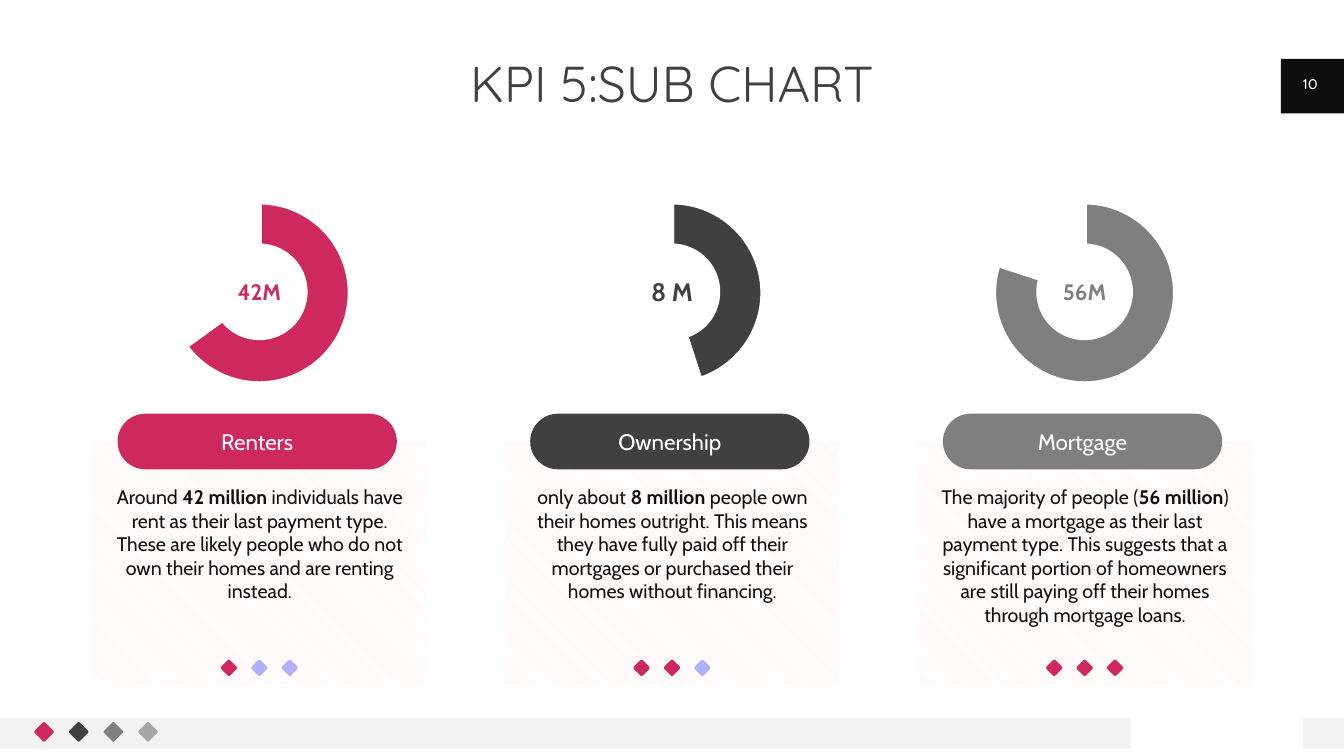
from lxml import etree
from pptx import Presentation
from pptx.chart.data import CategoryChartData
from pptx.dml.color import RGBColor
from pptx.enum.chart import XL_CHART_TYPE as ChartType
from pptx.enum.dml import MSO_PATTERN as Pattern
from pptx.enum.shapes import MSO_SHAPE as Shape
from pptx.enum.text import MSO_ANCHOR as Anchor, MSO_AUTO_SIZE as AutoSize, PP_ALIGN as Align
from pptx.oxml.ns import qn
from pptx.util import Pt

PX = 9525
COLORS = {
    "pink": "CE295E", "dark": "404040", "gray": "7F7F7F",
    "mid": "808080", "light": "A6A6A6", "lilac": "B0B0FF",
    "bar": "F2F2F2", "black": "0D0D0D", "ink": "111111",
    "white": "FFFFFF", "blush": "FFE6E6",
}
COLUMN_LEFT, COLUMN_PITCH = 88, 393
COLUMNS = [
    # name, color, share, hole label, label size, filled diamonds, text runs
    ("Renters", "pink", 65, "42M", 16, 1, [
        ("Around ", False), ("42 million", True),
        (" individuals have rent as their last payment type. These are likely "
         "people who do not own their homes and are renting instead.", False)]),
    ("Ownership", "dark", 45, "8 M", 18, 2, [
        ("only about ", False), ("8 million", True),
        (" people own their homes outright. This means they have fully paid off "
         "their mortgages or purchased their homes without financing.", False)]),
    ("Mortgage", "gray", 80, "56M", 16, 3, [
        ("The majority of people (", False), ("56 million", True),
        (") have a mortgage as their last payment type. This suggests that a "
         "significant portion of homeowners are still paying off their homes "
         "through mortgage loans.", False)]),
]


def color(name):
    return RGBColor.from_string(COLORS[name])


def box(left, top, width, height):
    """Turn px lengths into EMU."""
    return [length * PX for length in (left, top, width, height)]


class SlideBuilder:
    font = "Cabin"
    title_font = "Quicksand"

    def __init__(self, presentation):
        self.slide = presentation.slides.add_slide(presentation.slide_layouts[5])

    def add_text(self, frame, runs, size, ink, font=None):
        """Fill a text frame with one centred paragraph of (text, bold) runs."""
        frame.word_wrap = True
        paragraph = frame.paragraphs[0]
        paragraph.alignment = Align.CENTER
        for text, bold in runs:
            run = paragraph.add_run()
            run.text = text
            run.font.name = font or self.font
            run.font.size = Pt(size)
            run.font.bold = bold
            run.font.color.rgb = color(ink)
        return paragraph

    def fit_tight(self, frame):
        frame.margin_left = frame.margin_right = 0
        frame.margin_top = frame.margin_bottom = 0
        frame.vertical_anchor = Anchor.TOP
        frame.auto_size = AutoSize.SHAPE_TO_FIT_TEXT

    def title(self, text, *place):
        title = self.slide.shapes.title
        title.left, title.top, title.width, title.height = box(*place)
        self.fit_tight(title.text_frame)
        paragraph = self.add_text(title.text_frame, [(text, False)], 36, "dark", self.title_font)
        paragraph.line_spacing = 0.9

    def shape(self, kind, fill, *place, corner=None, rotation=0):
        shape = self.slide.shapes.add_shape(kind, *box(*place))
        shape.shadow.inherit = False
        shape.fill.solid()
        shape.fill.fore_color.rgb = color(fill)
        shape.line.fill.background()
        shape.rotation = rotation
        if corner is not None:
            shape.adjustments[0] = corner
        return shape

    def label(self, shape, text, size, ink, bold=False):
        shape.text_frame.vertical_anchor = Anchor.MIDDLE
        self.add_text(shape.text_frame, [(text, bold)], size, ink)

    def diamond(self, fill, left, top, size, corner=None):
        self.shape(Shape.ROUNDED_RECTANGLE, fill, left, top, size, size,
                   corner=corner, rotation=315)

    def panel(self, *place):
        fill = self.shape(Shape.RECTANGLE, "white", *place).fill
        fill.patterned()
        fill.pattern = Pattern.LIGHT_DOWNWARD_DIAGONAL
        fill.fore_color.rgb = color("blush")
        fill.back_color.rgb = color("white")

    def text_box(self, *place):
        return self.slide.shapes.add_textbox(*box(*place))

    def pie(self, share, fill, *place):
        data = CategoryChartData()
        data.categories = ["1", "2"]
        data.add_series("Series 1", (share, 100 - share))
        chart = self.slide.shapes.add_chart(ChartType.PIE, *box(*place), data).chart
        chart.has_legend = chart.has_title = False
        chart.font.name = self.font
        chart.font.size = Pt(10)
        chart.font.color.rgb = color("black")
        plot = chart.plots[0]
        plot.vary_by_categories = True
        for index, name in enumerate((fill, "white")):
            style = plot.series[0].points[index].format
            style.fill.solid()
            style.fill.fore_color.rgb = color(name)
            style.line.color.rgb = color("white")
            style.line.width = Pt(3.25)
        self.place_plot(chart, x=0.1, y=0.07, w=0.8, h=0.86)

    def place_plot(self, chart, **fractions):
        """Pin the plot area to fractions of the chart frame."""
        area = chart.plots[0]._element.getparent()
        for old in area.findall(qn("c:layout")):
            area.remove(old)
        layout = etree.Element(qn("c:layout"))
        area.insert(0, layout)
        manual = etree.SubElement(layout, qn("c:manualLayout"))
        settings = {"layoutTarget": "inner", "xMode": "edge", "yMode": "edge", **fractions}
        for tag, value in settings.items():
            etree.SubElement(manual, qn(f"c:{tag}")).set("val", str(value))

    def column(self, left, name, fill, share, figure, figure_size, filled, runs):
        self.panel(left, 420, 318, 232)
        self.pie(share, fill, left + 51, 178, 216, 202)
        hole = self.shape(Shape.OVAL, "white", left + 113, 232, 92, 92)
        self.label(hole, figure, figure_size, fill, bold=True)
        pill = self.shape(Shape.ROUNDED_RECTANGLE, fill, left + 24, 394, 266, 53, corner=0.5)
        self.label(pill, name, 16, "white")
        frame = self.text_box(left + 18, 462, 283, 113).text_frame
        self.fit_tight(frame)
        self.add_text(frame, runs, 14, "ink")
        for index in range(3):
            self.diamond("pink" if index < filled else "lilac", left + 124 + 29 * index, 630, 12)


def main():
    presentation = Presentation()
    presentation.slide_width, presentation.slide_height = 1280 * PX, 720 * PX
    builder = SlideBuilder(presentation)

    builder.shape(Shape.RECTANGLE, "bar", 0, 684, 1077, 29)
    builder.shape(Shape.RECTANGLE, "black", 1220, 56, 60, 52)
    builder.shape(Shape.RECTANGLE, "bar", 1241, 684, 39, 29)
    for index, fill in enumerate(("pink", "dark", "mid", "light")):
        builder.diamond(fill, 35 + 33 * index, 690, 14, corner=0.11)

    builder.title("KPI 5:SUB CHART", 88, 56, 1104, 53)
    builder.label(builder.text_box(1226, 61, 44, 38), "10", 10, "white")
    for index, content in enumerate(COLUMNS):
        builder.column(COLUMN_LEFT + COLUMN_PITCH * index, *content)

    presentation.save("out.pptx")


if __name__ == "__main__":
    main()
